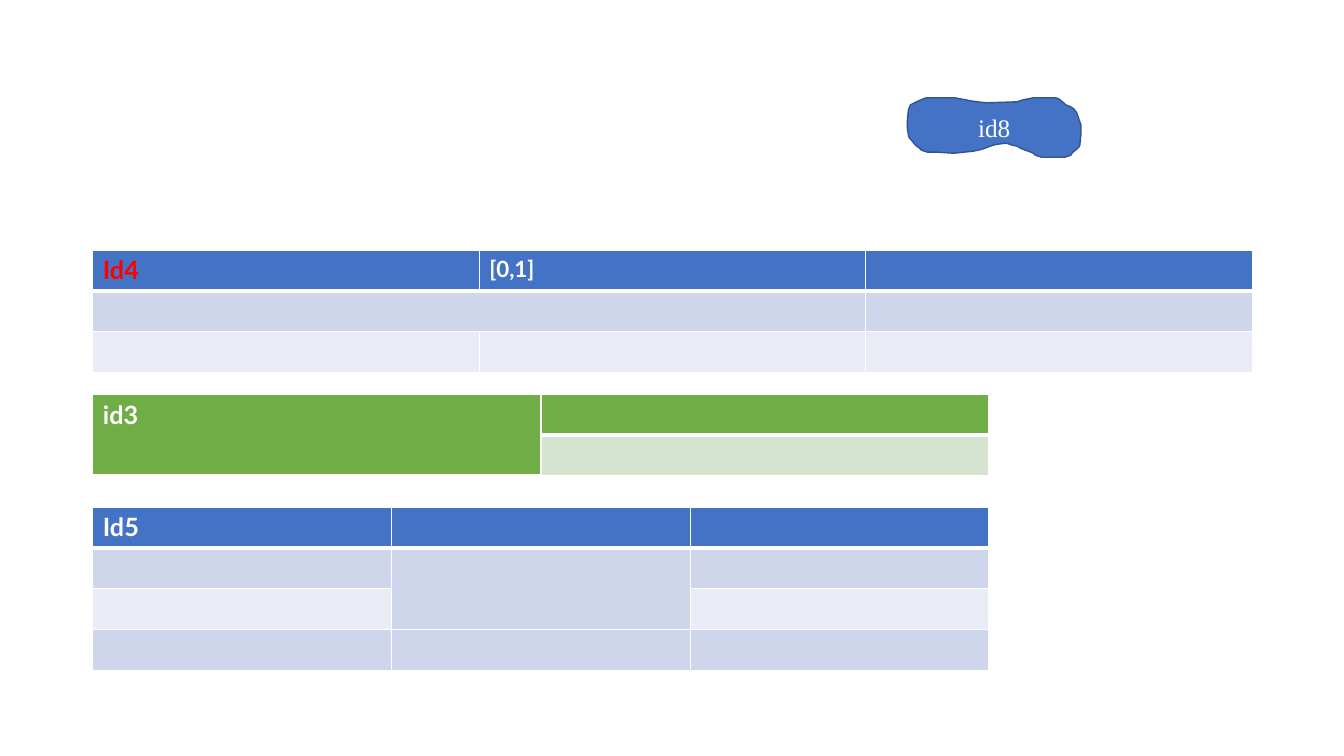
from lxml import etree
from pptx import Presentation
from pptx.dml.color import RGBColor
from pptx.enum import text
from pptx.oxml import ns
from pptx import util as u

PX = 9144  # 100 px to the inch
COLORS = {
    "white": "FFFFFF", "red": "FF0000", "outline": "325491",
    "blue": "4472C4", "blue_band": "CFD5EA", "blue_pale": "E9EBF5",
    "green": "70AD47", "green_band": "D5E3CF",
}
BLUES = ("blue", "blue_band", "blue_pale")
GREENS = ("green", "green_band", "green_band")

# Outline of the blob, in px from its top left corner
BLOB = [
    (12, 50), (8, 47), (4, 42), (2, 40), (1, 37), (0, 31), (0, 22), (1, 12),
    (3, 7), (9, 4), (16, 1), (19, 0), (21, 0), (47, 0), (52, 1), (58, 2),
    (62, 3), (78, 5), (109, 4), (115, 2), (125, 0), (147, 0), (150, 1),
    (155, 5), (157, 7), (162, 9), (165, 11), (168, 15), (169, 18), (172, 27),
    (172, 37), (171, 47), (170, 49), (168, 51), (164, 54), (162, 57),
    (159, 58), (156, 59), (133, 59), (127, 57), (125, 55), (120, 53),
    (117, 52), (112, 50), (109, 48), (104, 47), (98, 45), (90, 46), (85, 47),
    (82, 48), (77, 50), (74, 51), (70, 52), (65, 53), (46, 55), (30, 54),
    (20, 54), (14, 52),
]


def rgb(name):
    return RGBColor.from_string(COLORS[name])


def style_run(r, font, size, color, bold=False):
    r.font.name, r.font.size, r.font.bold = font, u.Pt(size), bold
    r.font.color.rgb = rgb(color)


def add_blob(slide, left, top, label):
    builder = slide.shapes.build_freeform(*BLOB[0], scale=PX)
    builder.add_line_segments(BLOB[1:], close=True)
    sp = builder.convert_to_shape(left * PX, top * PX)
    sp.shadow.inherit = False
    sp.fill.solid()
    sp.fill.fore_color.rgb = rgb("blue")
    sp.line.color.rgb = rgb("outline")
    sp.line.width = u.Pt(1)
    tf = sp.text_frame
    tf.text = label
    tf.vertical_anchor = text.MSO_ANCHOR.MIDDLE
    p = tf.paragraphs[0]
    p.alignment = text.PP_ALIGN.CENTER
    style_run(p.runs[0], "Times New Roman", 18, "white")


def set_borders(cell, top, bottom):
    tc_pr = cell._tc.get_or_add_tcPr()
    for side, points in (("L", 1), ("R", 1), ("T", top), ("B", bottom)):
        ln = etree.SubElement(tc_pr, ns.qn("a:ln" + side), w=str(u.Pt(points)))
        fill = etree.SubElement(ln, ns.qn("a:solidFill"))
        etree.SubElement(fill, ns.qn("a:srgbClr"), val=COLORS["white"])


def add_band_table(slide, box, rows, cols, palette, merge, labels):
    left, top, width, height = (n * PX for n in box)
    table = slide.shapes.add_table(rows, cols, left, top, width, height).table
    header, odd, even = palette
    for i in range(rows):
        for j in range(cols):
            cell = table.cell(i, j)
            set_borders(cell, 3 if i == 1 else 1, 3 if i == 0 else 1)
            cell.fill.solid()
            cell.fill.fore_color.rgb = rgb(
                header if i == 0 else odd if i % 2 else even)
    # Header labels
    for j, (label, size, color) in enumerate(labels):
        p = table.cell(0, j).text_frame.paragraphs[0]
        p.text = label
        style_run(p.runs[0], "Lato", size, color, bold=True)
    first, last = merge
    table.cell(*first).merge(table.cell(*last))


def main():
    prs = Presentation()
    prs.slide_width, prs.slide_height = 1333 * PX, 750 * PX
    slide = prs.slides.add_slide(prs.slide_layouts[6])

    add_blob(slide, 900, 97, "id8")

    # Three tables, from top to bottom
    add_band_table(slide, (92, 248, 1150, 121), 3, 3, BLUES, ((1, 0), (1, 1)),
                   [("Id4", 18, "red"), ("[0,1]", 16, "white")])
    add_band_table(slide, (92, 391, 889, 81), 2, 2, GREENS, ((0, 0), (1, 0)),
                   [("id3", 18, "white")])
    add_band_table(slide, (92, 503, 889, 162), 4, 3, BLUES, ((1, 1), (2, 1)),
                   [("Id5", 18, "white")])

    prs.save("out.pptx")


if __name__ == "__main__":
    main()
